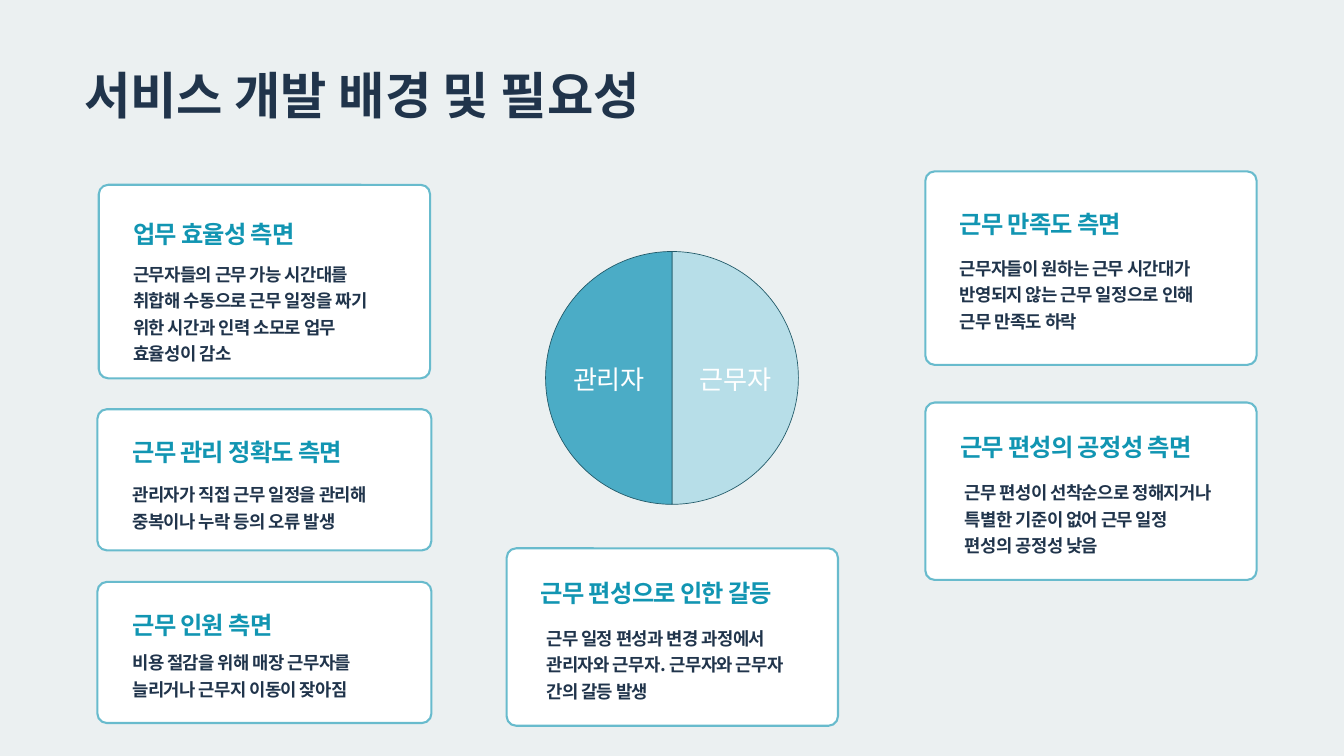
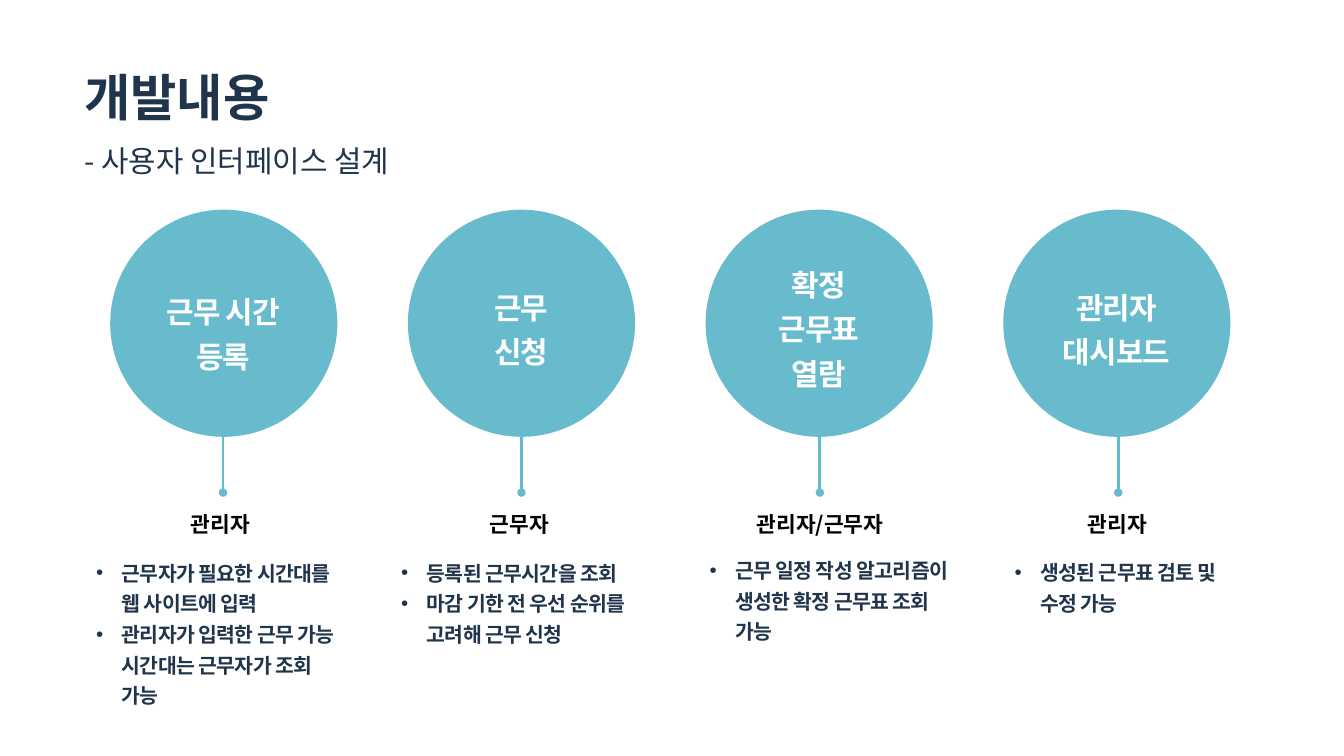
from lxml import etree
from pptx import Presentation
from pptx.chart import data
from pptx.dml import color
from pptx.enum import chart, shapes, text
from pptx.oxml import ns
from pptx.util import Inches, Pt

FONT = "Noto Sans CJK KR"
NAVY, TEAL, AQUA = "20344B", "1195B2", "68BBCD"
WHITE, BLACK, MIST = "FFFFFF", "000000", "EBF0F1"
LEFT, CENTER = text.PP_ALIGN.LEFT, text.PP_ALIGN.CENTER


def rgb(value):
    return color.RGBColor.from_string(value)


def child(parent, tag, **attrs):
    return etree.SubElement(parent, ns.qn(tag), attrs)


class Deck:
    def __init__(self):
        self.prs = Presentation()
        self.prs.slide_width, self.prs.slide_height = Inches(20), Inches(11.25)
        self.slide = None

    def add_slide(self, background):
        self.slide = self.prs.slides.add_slide(self.prs.slide_layouts[6])
        fill = self.slide.background.fill
        fill.solid()
        fill.fore_color.rgb = rgb(background)

    def shape(self, kind, box, fill, line=None):
        sp = self.slide.shapes.add_shape(kind, *map(Inches, box))
        sp.shadow.inherit = False
        sp.fill.solid()
        sp.fill.fore_color.rgb = rgb(fill)
        if line:
            sp.line.color.rgb = rgb(line)
            sp.line.width = Pt(2.25)
        else:
            sp.line.fill.background()
        return sp

    def text(self, box, lines, size, ink, leading=None, spacing=0, align=LEFT,
             bullets=False, inset=(0, 0)):
        sp = self.slide.shapes.add_textbox(*map(Inches, box))
        tf = sp.text_frame
        tf.word_wrap = True
        tf.auto_size = text.MSO_AUTO_SIZE.SHAPE_TO_FIT_TEXT
        tf.margin_left = tf.margin_right = Inches(inset[0])
        tf.margin_top = tf.margin_bottom = Inches(inset[1])
        for i, line in enumerate(lines):
            p = tf.paragraphs[0] if i == 0 else tf.add_paragraph()
            p.alignment = align
            if bullets:
                pPr = p._p.get_or_add_pPr()
                pPr.set("marL", str(Inches(0.38)))
                pPr.set("indent", str(-Inches(0.38)))
                child(pPr, "a:buFont", typeface="Arial")
                child(pPr, "a:buChar", char="•")
            if leading:
                p.line_spacing = Pt(leading)
            self.run(p, line, size, ink, spacing)
        return tf

    def run(self, p, words, size, ink, spacing=0, bold=True):
        r = p.add_run()
        r.text = words
        r.font.size, r.font.bold, r.font.name = Pt(size), bold, FONT
        r.font.color.rgb = rgb(ink)
        rPr = r._r.get_or_add_rPr()
        child(rPr, "a:ea", typeface=FONT)
        if spacing:
            rPr.set("spc", str(round(spacing * 100)))

    def title(self, words, top, subtitle=None):
        tf = self.text((1.25, top, 14.19, 0.79), [words], 54, NAVY, 55.9)
        if subtitle:
            p = tf.add_paragraph()
            p.line_spacing = Pt(55.9)
            self.run(p, subtitle, 32, NAVY, bold=False)

    def card(self, box, heading, heading_at, body, body_at, width):
        sp = self.shape(shapes.MSO_SHAPE.ROUNDED_RECTANGLE, box, WHITE, AQUA)
        sp.adjustments[0] = 0.14 / box[3]
        self.text((*heading_at, 3.99, 0.5), [heading], 26, TEAL, 39, -0.8)
        self.text((*body_at, width, 1.15), [body], 19, NAVY, 28.5, -0.6)

    def pin(self, x, top, bottom):
        cx = self.slide.shapes.add_connector(
            shapes.MSO_CONNECTOR.STRAIGHT, *map(Inches, (x, top, x, bottom)))
        cx.line.color.rgb = rgb(AQUA)
        cx.line.width = Pt(3)
        child(cx.line._get_or_add_ln(), "a:tailEnd", type="oval")
        child(cx._element.spPr, "a:effectLst")

    def pie(self, box, slices):
        cd = data.CategoryChartData()
        cd.categories = [name for name, _, _ in slices]
        cd.add_series("Series 1", [value for _, value, _ in slices])
        ch = self.slide.shapes.add_chart(
            chart.XL_CHART_TYPE.PIE, *map(Inches, box), cd).chart
        ch.has_legend = ch.has_title = False
        ch.font.name, ch.font.size = "Calibri", Pt(10)
        plot = ch.plots[0]
        plot.vary_by_categories = False
        for i, (_, _, fill) in enumerate(slices):
            fmt = plot.series[0].points[i].format
            fmt.fill.solid()
            fmt.fill.fore_color.rgb = rgb(fill)
            fmt.line.color.rgb = rgb("215968")
            fmt.line.width = Pt(0.75)
        plot.has_data_labels = True
        labels = plot.data_labels
        labels.show_category_name, labels.show_value = True, False
        labels.show_percentage = False
        labels.position = chart.XL_LABEL_POSITION.CENTER
        labels.font.name, labels.font.size = FONT, Pt(28)
        labels.font.color.rgb = rgb(WHITE)
        area = ch._chartSpace.chart.plotArea
        for old in area.findall(ns.qn("c:layout")):
            area.remove(old)
        layout = etree.Element(ns.qn("c:layout"))
        area.insert(0, layout)
        manual = child(layout, "c:manualLayout")
        for tag, value in (("layoutTarget", "inner"), ("xMode", "edge"),
                           ("yMode", "edge"), ("x", "0.22"), ("y", "0.03"),
                           ("w", "0.56"), ("h", "0.94")):
            child(manual, "c:" + tag, val=value)


def background_slide(deck):
    deck.add_slide(MIST)
    deck.title("서비스 개발 배경 및 필요성", 1.08)
    deck.pie((6.64, 3.61, 6.72, 4.03),
             [("근무자", 50, "B7DEE8"), ("관리자", 50, "4BACC6")])
    cards = [
        ((13.77, 2.55, 4.93, 2.88), "근무 만족도 측면", (14.28, 3),
         "근무자들이 원하는 근무 시간대가 반영되지 않는 근무 일정으로 인해 근무 만족도 하락",
         (14.28, 3.75), 3.69),
        ((1.47, 2.75, 4.93, 2.88), "업무 효율성 측면", (1.98, 3.15),
         "근무자들의 근무 가능 시간대를 취합해 수동으로 근무 일정을 짜기 위한 시간과 인력 소모로 업무 효율성이 감소",
         (1.98, 3.84), 3.88),
        ((13.77, 5.99, 4.93, 2.64), "근무 편성의 공정성 측면", (14.29, 6.33),
         "근무 편성이 선착순으로 정해지거나 특별한 기준이 없어 근무 일정 편성의 공정성 낮음",
         (14.36, 7.09), 3.69),
        ((1.45, 6.09, 4.97, 2.1), "근무 관리 정확도 측면", (1.97, 6.4),
         "관리자가 직접 근무 일정을 관리해 중복이나 누락 등의 오류 발생",
         (1.97, 7.12), 3.91),
        ((7.54, 8.16, 4.93, 2.64), "근무 편성으로 인한 갈등", (8.05, 8.49),
         "근무 일정 편성과 변경 과정에서 관리자와 근무자. 근무자와 근무자 간의 갈등 발생",
         (8.13, 9.26), 3.69),
        ((1.45, 8.66, 4.97, 2.1), "근무 인원 측면", (1.97, 8.97),
         "비용 절감을 위해 매장 근무자를 늘리거나 근무지 이동이 잦아짐",
         (1.97, 9.62), 3.91),
    ]
    for card in cards:
        deck.card(*card)


def interface_slide(deck):
    deck.add_slide(WHITE)
    deck.title("개발내용", 1.1, "- 사용자 인터페이스 설계")
    features = [
        (["근무 시간", "등록"], 4.24, "관리자", (2.74, 1.17), (1.43, 8.25, 3.75),
         ["근무자가 필요한 시간대를 웹 사이트에 입력",
          "관리자가 입력한 근무 가능 시간대는 근무자가 조회 가능"]),
        (["근무", "신청"], 4.17, "근무자", (7.19, 1.17), (5.97, 8.25, 3.8),
         ["등록된 근무시간을 조회", "마감 기한 전 우선 순위를 고려해 근무 신청"]),
        (["확정", "근무표", "열람"], 3.83, "관리자/근무자", (11.16, 2.34),
         (10.56, 8.21, 3.75),
         ["근무 일정 작성 알고리즘이 생성한 확정 근무표 조회 가능"]),
        (["관리자", "대시보드"], 4.17, "관리자", (16.09, 1.17), (15.1, 8.24, 3.24),
         ["생성된 근무표 검토 및 수정 가능"]),
    ]
    for i, (name, name_top, role, (role_left, role_width), notes_at, notes) in enumerate(features):
        left = 1.64 + 4.43 * i
        deck.shape(shapes.MSO_SHAPE.OVAL, (left, 3.12, 3.38, 3.38), AQUA)
        deck.pin(3.32 + 4.44 * i, 6.5, 7.33)
        deck.text((left + 0.4, name_top, 2.57, 0.67 * len(name)), name, 32, WHITE,
                  48, -1, CENTER)
        deck.text((role_left, 7.55, role_width, 0.49), [role], 23, BLACK,
                  inset=(0.1, 0.05))
        deck.text((*notes_at, 1.35), notes, 21.9, NAVY, 32.9, -0.7, bullets=True)


def main():
    deck = Deck()
    background_slide(deck)
    interface_slide(deck)
    deck.prs.save("out.pptx")


if __name__ == "__main__":
    main()
